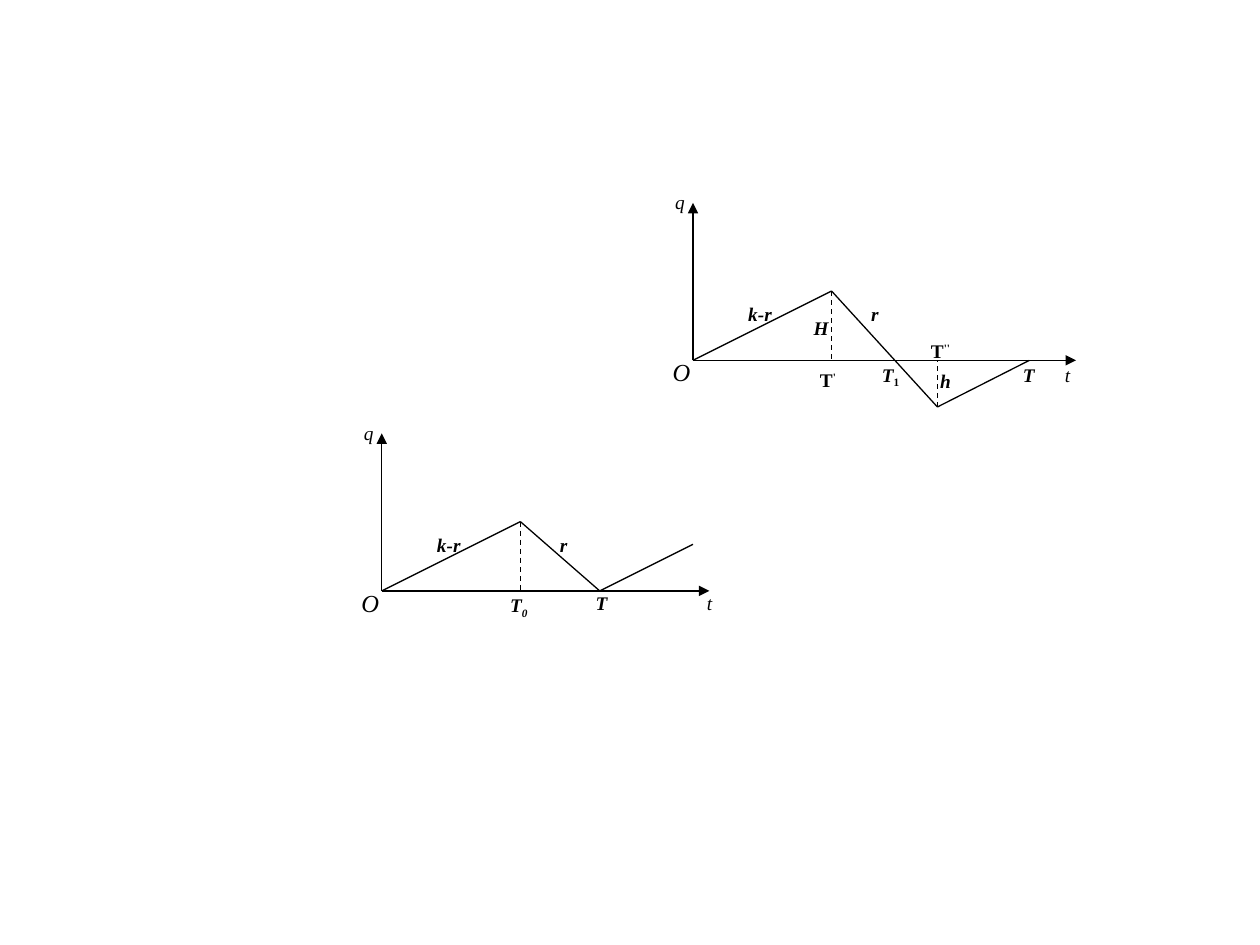
"""Builds a slide with two graphs of stock q against time t."""
from lxml.etree import SubElement
from pptx import Presentation
from pptx.dml.color import RGBColor
from pptx.enum.dml import MSO_LINE
from pptx.enum.shapes import MSO_CONNECTOR
from pptx.enum.text import MSO_AUTO_SIZE, PP_ALIGN
from pptx.oxml.ns import qn
from pptx.util import Inches, Pt

INK = "000000"
FORMATS = {
    "origin": {"size": Pt(14), "italic": True},
    "axis": {"size": Pt(11), "italic": True},
    "value": {"size": Pt(11), "bold": True, "italic": True},
    "upright": {"size": Pt(11), "bold": True},
}

deck = Presentation()
deck.slide_width, deck.slide_height = Inches(10), Inches(7.5)
page = deck.slides.add_slide(deck.slide_layouts[6])
column, row = deck.slide_width / 100, deck.slide_height / 75


def add_line(origin, start, end, arrow=False, dashed=False):
    """Draws a line between two grid points counted from the origin."""
    ends = [round((origin[axis] + point[axis]) * unit)
            for point in (start, end) for axis, unit in enumerate((column, row))]
    line = page.shapes.add_connector(MSO_CONNECTOR.STRAIGHT, *ends)
    line.line.color.rgb = RGBColor.from_string(INK)
    line.line.width = Pt(0.75)
    if dashed:
        line.line.dash_style = MSO_LINE.DASH
    if arrow:
        SubElement(line.line._get_or_add_ln(), qn("a:tailEnd"), type="triangle")
    SubElement(line._element.spPr, qn("a:effectLst"))


def add_label(origin, text, place, size, style, script="", baseline=0, script_style=None):
    """Writes a label, with an optional raised or lowered part."""
    box = page.shapes.add_textbox(
        round((origin[0] + place[0]) * column), round((origin[1] + place[1]) * row),
        round(size[0] * column), round(size[1] * row))
    box.text_frame.word_wrap = True
    box.text_frame.auto_size = MSO_AUTO_SIZE.SHAPE_TO_FIT_TEXT
    para = box.text_frame.paragraphs[0]
    if style == "upright":
        para.alignment, para.line_spacing = PP_ALIGN.JUSTIFY, 1.5
        para._p.get_or_add_pPr().set("indent", str(Inches(0.33)))
    for words, name, shift in ((text, style, 0), (script, script_style or style, baseline)):
        if words:
            span = para.add_run()
            span.text = words
            span.font.name = "Times New Roman"
            span.font.color.rgb = RGBColor.from_string(INK)
            for attribute, value in FORMATS[name].items():
                setattr(span.font, attribute, value)
            if shift:
                span.font._element.set("baseline", str(shift * 1000))


zero, peak, foot = (0, 0), (11, -5.5), (11, 0)
small = (2.4, 2.9)
graphs = [
    {"origin": (30.3, 46.9), "time_end": 26, "curve": [zero, peak, (17.3, 0), (24.7, -3.7)],
     "drops": [(peak, foot)],
     "labels": [("t", (25.2, -0.5), (1.6, 2.9), "axis"),
                ("T", (16, -0.5), small, "value"),
                ("T", (9.2, -0.3), (3.9, 5.9), "value", "0", -25)]},
    {"origin": (55, 28.6), "time_end": 30.4, "curve": [zero, peak, (19.4, 3.7), (26.7, 0)],
     "drops": [(peak, foot), ((19.4, 3.7), (19.4, 0))],
     "labels": [("t", (28.9, -0.3), (1.6, 2.9), "axis"),
                ("T", (25.2, -0.3), small, "value"),
                ("T", (14, -0.3), (3.5, 2.9), "value", "1", -25, "upright"),
                ("H", (8.6, -4), (2.6, 2.9), "value"),
                ("h", (18.8, 0.2), (1.8, 2.9), "value"),
                ("T", (5.8, -0.8), (7.3, 3.5), "upright", "'", 30),
                ("T", (14.6, -3.1), (8.2, 3.5), "upright", "''", 30)]},
]
shared_labels = [
    ("O", (-2.6, -0.75), (2.4, 3.4), "origin"),
    ("q", (-2.4, -14), small, "axis"),
    ("k-r", (3.4, -5.1), (8.7, 2.9), "value"),
    ("r", (13.15, -5.1), small, "value"),
]

for graph in graphs:
    origin = graph["origin"]
    for tip in ((graph["time_end"], 0), (0, -12.5)):
        add_line(origin, zero, tip, arrow=True)
    for start, end in zip(graph["curve"], graph["curve"][1:]):
        add_line(origin, start, end)
    for start, end in graph["drops"]:
        add_line(origin, start, end, dashed=True)
    for label in shared_labels + graph["labels"]:
        add_label(origin, *label)

deck.save("out.pptx")
